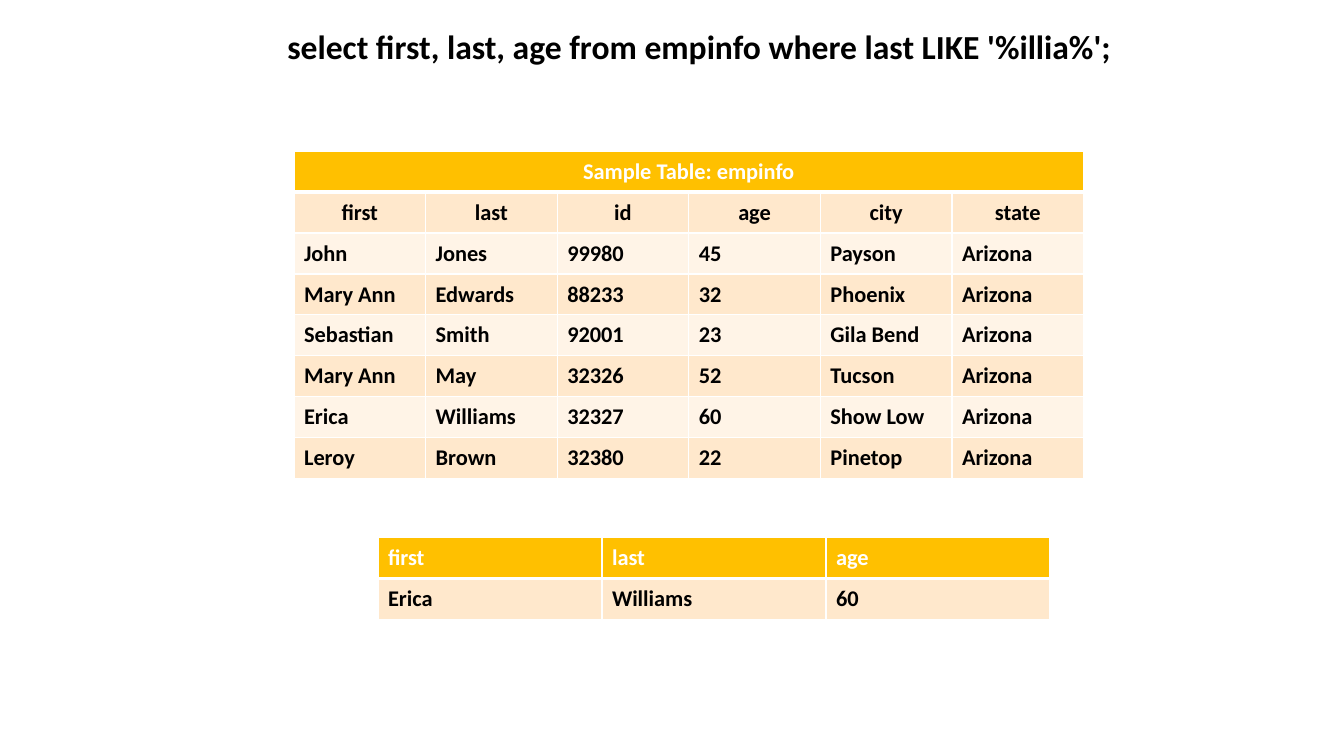
from lxml.etree import SubElement as Sub
from pptx import Presentation
from pptx.dml.color import RGBColor as Rgb
from pptx.enum.text import MSO_ANCHOR as Anchor, PP_ALIGN as Align
from pptx.oxml.ns import qn
from pptx.util import Emu, Pt

PX = 9525  # EMU in one px, 96 px to the inch
COLORS = {"head": "FFC000", "dark": "FFE8CC", "pale": "FFF4E7",
          "line": "FFFFFF", "light": "FFFFFF", "text": "000000"}
STAFF = [
    ["Sample Table: empinfo"],
    ["first", "last", "id", "age", "city", "state"],
    ["John", "Jones", "99980", "45", "Payson", "Arizona"],
    ["Mary Ann", "Edwards", "88233", "32", "Phoenix", "Arizona"],
    ["Sebastian", "Smith", "92001", "23", "Gila Bend", "Arizona"],
    ["Mary Ann", "May", "32326", "52", "Tucson", "Arizona"],
    ["Erica", "Williams", "32327", "60", "Show Low", "Arizona"],
    ["Leroy", "Brown", "32380", "22", "Pinetop", "Arizona"],
]
FOUND = [["first", "last", "age"], ["Erica", "Williams", "60"]]


def px(n):
    return Emu(round(n * PX))


def put(frame, text, size, color, hang=0, **form):
    frame.text = text
    para = frame.paragraphs[0]
    if hang:
        props = para._p.get_or_add_pPr()
        props.set("marL", str(px(hang)))
        props.set("indent", str(px(-hang)))
    for key, val in form.items():
        setattr(para, key, val)
    font = para.runs[0].font
    for key, val in {"name": "Calibri", "size": Pt(size), "bold": True}.items():
        setattr(font, key, val)
    font.color.rgb = Rgb.from_string(COLORS[color])


def edge(cell, base):
    props = cell._tc.get_or_add_tcPr()
    for side, width in {"L": 1, "R": 1, "T": 1, "B": base}.items():
        line = Sub(props, qn(f"a:ln{side}"), w=str(Pt(width)))
        fill = Sub(line, qn("a:solidFill"))
        Sub(fill, qn("a:srgbClr"), val=COLORS["line"])


# Query at the top
def add_query(slide, text, x, y, w, h):
    title = slide.shapes.title
    for key, val in {"left": x, "top": y, "width": w, "height": h}.items():
        setattr(title, key, px(val))
    frame = title.text_frame
    frame.word_wrap = True
    frame.vertical_anchor = Anchor.TOP
    put(frame, text, 24, "text", hang=24, alignment=Align.LEFT,
        line_spacing=0.9, space_before=Pt(0))


# Banded grid; the first "mid" rows are centred, a lone first cell spans all
def add_grid(slide, rows, x, y, w, row_h, mid=0, hang=0):
    count = len(rows[-1])
    table = slide.shapes.add_table(len(rows), count, px(x), px(y), px(w),
                                   px(row_h * len(rows))).table
    for col in table.columns:
        col.width = px(w / count)
    for r, row in enumerate(rows):
        table.rows[r].height = px(row_h)
        shade = "head" if r == 0 else "dark" if r % 2 else "pale"
        for c in range(count):
            cell = table.cell(r, c)
            edge(cell, 1 if r else 3)
            cell.fill.solid()
            cell.fill.fore_color.rgb = Rgb.from_string(COLORS[shade])
            cell.vertical_anchor = Anchor.MIDDLE
            if c < len(row):
                put(cell.text_frame, row[c], 16, "text" if r else "light", hang,
                    alignment=Align.CENTER if r < mid else Align.LEFT)
    if len(rows[0]) == 1:
        table.cell(0, 0).merge(table.cell(0, count - 1))


def main():
    deck = Presentation()
    deck.slide_width, deck.slide_height = px(1280), px(720)
    slide = deck.slides.add_slide(deck.slide_layouts[5])
    add_query(slide, "select first, last, age from empinfo where last LIKE '%illia%';",
              264, 24, 816, 80)
    add_grid(slide, STAFF, 280, 144, 752, 39, mid=2, hang=36)
    add_grid(slide, FOUND, 360, 512, 640, 39)
    deck.save("out.pptx")


if __name__ == "__main__":
    main()
